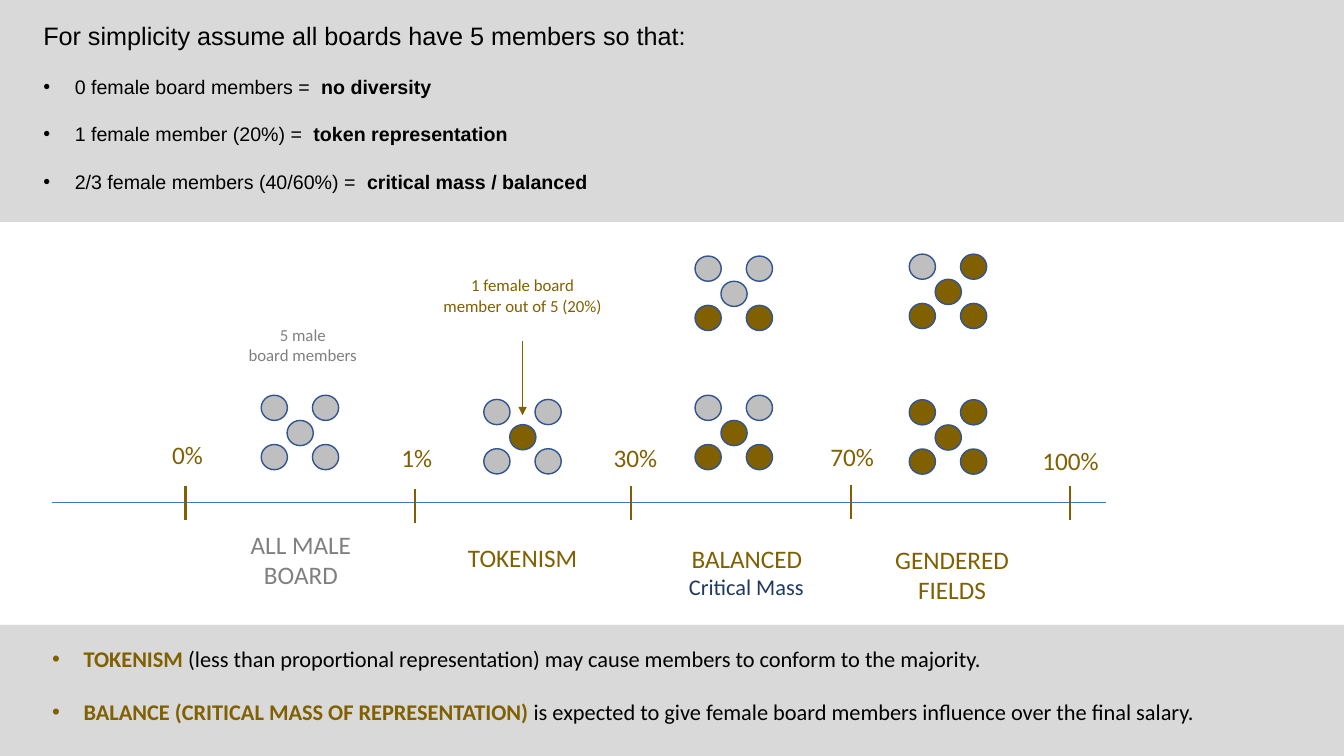
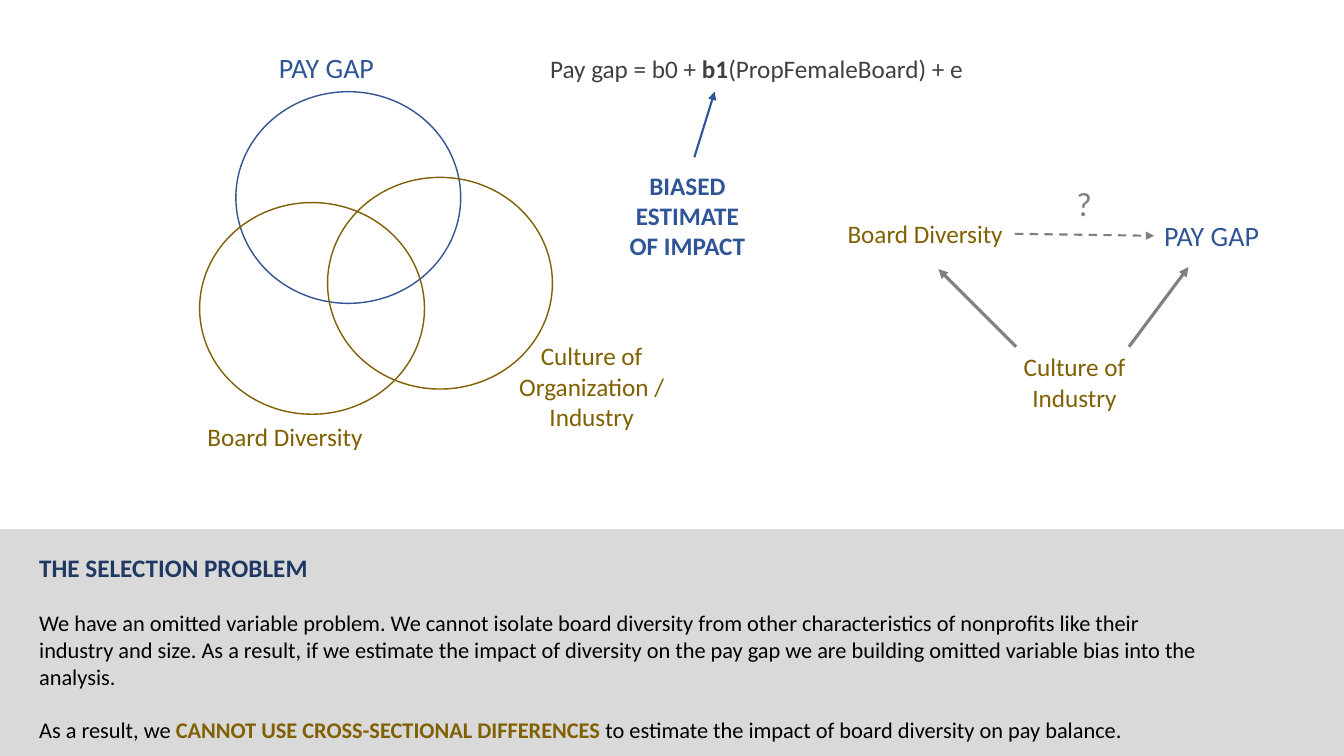
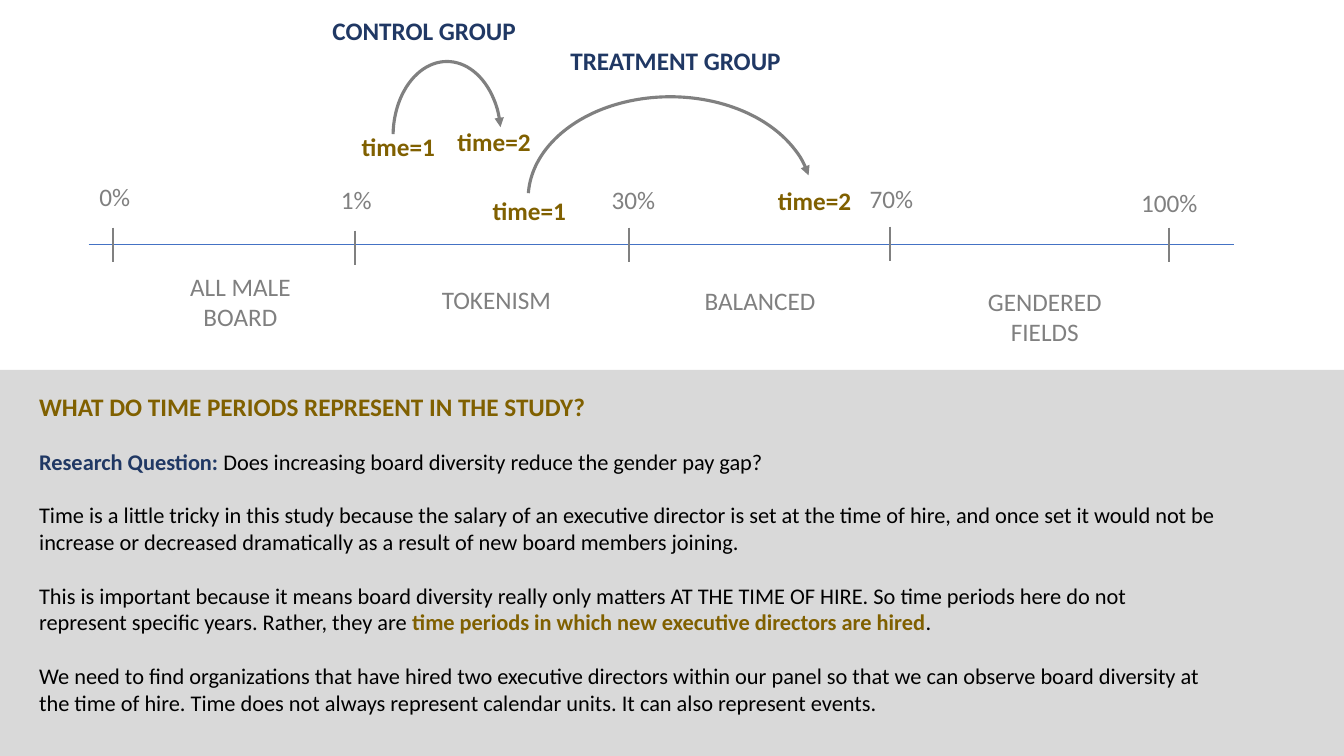
from dataclasses import dataclass

from pptx import Presentation
from pptx.dml.color import RGBColor
from pptx.enum import dml, shapes, text
from pptx.oxml import ns, xmlchemy
from pptx.util import Pt


@dataclass(frozen=True)
class Theme:
    band: str = "D9D9D9"
    black: str = "000000"
    gold: str = "806000"
    grey: str = "808080"
    silver: str = "BFBFBF"
    charcoal: str = "404040"
    navy: str = "203864"
    blue: str = "2F5597"
    outline: str = "325491"
    axis: str = "4472C4"
    sans: str = "Calibri"
    plain: str = "Arial"
    symbol: int = 24
    key: int = 20
    head: int = 18
    body: int = 16
    point: int = 14
    note: int = 12


T = Theme()
WIDTH, HEIGHT = 960, 540
PROSE_WIDTH = 856.8
INDENT = 22.5
BODY_GAP = 19
POINT_GAP = 17.3
LABEL_HEIGHT = 28.8
TICK_HEIGHT = 24.6
TICK_LABEL_WIDTH = 104.4
DOT_WIDTH, DOT_HEIGHT = 18.7, 18
DOT_PLACES = [(0, 0), (36.6, 0), (0, 35.2), (36.6, 35.2), (18.5, 18)]
CIRCLE_WIDTH, CIRCLE_HEIGHT = 160.6, 151.2
MARKS = [("0%", 12, 1.4, 36.7), ("1%", 9.8, 1.1, 36.7), ("30%", 12, 3.2, 34.8),
         ("70%", 12.7, 1, 34.5), ("100%", 12, 0, 32.4)]
ZONES = [("ALL MALE BOARD", 104.4, 15.4), ("TOKENISM", 104.4, 24.7),
         ("BALANCED", 134, 25.4), ("GENDERED FIELDS", 144.7, 26.2)]


@dataclass(frozen=True)
class Span:
    text: str
    ink: str = T.black
    bold: bool = False
    size: int = T.body
    font: str = T.sans


@dataclass(frozen=True)
class Line:
    spans: list
    bullet: bool = False


def points(values):
    return [Pt(value) for value in values]


def style(font, size, ink, bold=False, name=T.sans):
    font.name, font.size, font.bold = name, Pt(size), bold
    font.color.rgb = RGBColor.from_string(ink)


def stroke(outlined, ink, weight, arrow=False, dashed=False):
    outlined.line.color.rgb = RGBColor.from_string(ink)
    outlined.line.width = Pt(weight)
    if dashed:
        outlined.line.dash_style = dml.MSO_LINE.DASH
    if arrow:
        edge = outlined.element.spPr.find(ns.qn("a:ln"))
        edge.append(xmlchemy.OxmlElement("a:tailEnd"))
        edge[-1].set("type", "triangle")


def preset(slide, kind, box, fill=None):
    drawn = slide.shapes.add_shape(kind, *points(box))
    drawn.shadow.inherit = False
    if fill:
        drawn.fill.solid()
        drawn.fill.fore_color.rgb = RGBColor.from_string(fill)
    else:
        drawn.fill.background()
    return drawn


def band(slide, top, bottom):
    strip = preset(slide, shapes.MSO_SHAPE.RECTANGLE, (0, top, WIDTH, bottom - top), T.band)
    strip.line.fill.background()


def ellipse(slide, box, ink, fill=None):
    stroke(preset(slide, shapes.MSO_SHAPE.OVAL, box, fill), ink, 1)


def time_arc(slide, box):
    curve = preset(slide, shapes.MSO_SHAPE.ARC, box)
    curve.adjustments[0] = 109.3
    curve.adjustments[1] = 210.28
    stroke(curve, T.grey, 2.25, arrow=True)


def connect(slide, start, end, ink, weight, arrow=False, dashed=False):
    link = slide.shapes.add_connector(shapes.MSO_CONNECTOR.STRAIGHT, *points(start + end))
    stroke(link, ink, weight, arrow, dashed)
    link.element.spPr.append(xmlchemy.OxmlElement("a:effectLst"))
    return link


def label(slide, box, words, ink, size=T.head, bold=False, centred=True, wrap=True):
    holder = slide.shapes.add_textbox(*points(box))
    holder.text_frame.word_wrap = wrap
    holder.text_frame.text = words
    for paragraph in holder.text_frame.paragraphs:
        if centred:
            paragraph.alignment = text.PP_ALIGN.CENTER
        for run in paragraph.runs:
            style(run.font, size, ink, bold)
    return holder


def tag(slide, box, words, ink, size=T.head, bold=False):
    return label(slide, box, words, ink, size, bold, centred=False, wrap=False)


def add_bullet(paragraph):
    props = paragraph._p.get_or_add_pPr()
    props.set("marL", str(Pt(INDENT)))
    props.set("indent", str(-Pt(INDENT)))
    face = xmlchemy.OxmlElement("a:buFont")
    face.set("typeface", T.plain)
    mark = xmlchemy.OxmlElement("a:buChar")
    mark.set("char", "•")
    props.extend([face, mark])


def prose(slide, box, lines, gap=BODY_GAP, wrap=True):
    frame = slide.shapes.add_textbox(*points(box)).text_frame
    frame.word_wrap = wrap
    for index, line in enumerate(lines):
        paragraph = frame.add_paragraph() if index else frame.paragraphs[0]
        if line.bullet:
            add_bullet(paragraph)
        if index:
            paragraph.space_before = Pt(gap)
        for span in line.spans:
            run = paragraph.add_run()
            run.text = span.text
            style(run.font, span.size, span.ink, span.bold, span.font)


def scale(slide, left, right, level, ticks, centres, ink):
    connect(slide, (left, level), (right, level), T.axis, 0.5)
    for x, (name, rise, shift, lift) in zip(ticks, MARKS):
        top = level - rise
        connect(slide, (x, top), (x, top + TICK_HEIGHT), ink, 1.5)
        label(slide, (x + shift - TICK_LABEL_WIDTH / 2, top - lift,
                      TICK_LABEL_WIDTH, LABEL_HEIGHT), name, ink)
    for index, (centre, (name, width, drop)) in enumerate(zip(centres, ZONES)):
        label(slide, (centre - width / 2, level + drop, width, LABEL_HEIGHT),
              name, ink if index else T.grey)


def board(slide, left, top, members):
    for (dx, dy), member in zip(DOT_PLACES, members):
        ellipse(slide, (left + dx, top + dy, DOT_WIDTH, DOT_HEIGHT),
                T.outline, T.gold if member == "F" else T.silver)


def board_types(slide):
    band(slide, 0, 158.5)
    band(slide, 446.4, HEIGHT)

    def point(share, meaning):
        return Line([Span(share, size=T.point, font=T.plain),
                     Span(meaning, bold=True, size=T.point, font=T.plain)], bullet=True)

    prose(slide, (23.8, 10.8, 545.8, 147.6), [
        Line([Span("For simplicity assume all boards have 5 members so that:",
                   size=T.head, font=T.plain)]),
        point("0 female board members =  ", "no diversity"),
        point("1 female member (20%) =  ", "token representation"),
        point("2/3 female members (40/60%) =  ", "critical mass / balanced"),
    ], POINT_GAP)
    scale(slide, 37.4, 789.8, 358.9, [132.5, 296.6, 450.7, 607.7, 764.6],
          [214.9, 373.3, 533.5, 680], T.gold)
    for left, top, members in [
        (186.6, 282.3, "MMMMM"), (345.6, 285.3, "MMMMF"),
        (496.5, 182.9, "MMFFM"), (496.5, 282.3, "MMFFF"),
        (649.5, 181.5, "MFFFF"), (649.5, 285.5, "FFFFF"),
    ]:
        board(slide, left, top, members)
    label(slide, (152.6, 228.2, 127.4, 36), "5 male\nboard members", T.grey, T.note)
    token = label(slide, (309.6, 193, 127.4, 50.6),
                  "1 female board member out of 5 (20%)", T.gold, T.note)
    pointer = connect(slide, (373.3, 243.6), (373.3, 296.6), T.gold, 0.5, arrow=True)
    pointer.begin_connect(token, 2)
    label(slide, (458.6, 406, 149, 26.6), "Critical Mass", T.navy, T.body)
    prose(slide, (30.2, 457.2, PROSE_WIDTH, 75), [
        Line([Span("TOKENISM", T.gold, True),
              Span(" (less than proportional representation) may cause members"
                   " to conform to the majority.")], bullet=True),
        Line([Span("BALANCE (CRITICAL MASS OF REPRESENTATION)", T.gold, True),
              Span(" is expected to give female board members influence"
                   " over the final salary.")], bullet=True),
    ])


def selection_problem(slide):
    band(slide, 378, HEIGHT)
    prose(slide, (20.9, 391, PROSE_WIDTH, 145), [
        Line([Span("THE SELECTION PROBLEM", T.navy, True, T.head)]),
        Line([Span("We have an omitted variable problem. We cannot isolate board diversity "
                   "from other characteristics of nonprofits like their industry and size. "
                   "As a result, if we estimate the impact of diversity on the pay gap we are "
                   "building omitted variable bias into the analysis.")]),
        Line([Span("As a result, we "),
              Span("CANNOT USE CROSS-SECTIONAL DIFFERENCES ", T.gold, True),
              Span("to estimate the impact of board diversity on pay balance.")]),
    ])
    for left, top, ink in [(168.5, 65.5, T.outline), (142.6, 144.7, T.gold),
                           (234, 126.7, T.gold)]:
        ellipse(slide, (left, top, CIRCLE_WIDTH, CIRCLE_HEIGHT), ink)
    tag(slide, (192.2, 32.4, 82.8, 31.7), "PAY GAP", T.blue, T.key)
    tag(slide, (141.1, 297.4, 126.7, LABEL_HEIGHT), "Board Diversity", T.gold)
    label(slide, (359.3, 239.8, 126.7, 72.7), "Culture of Organization / Industry", T.gold)

    prose(slide, (385.9, 34.6, 312.5, LABEL_HEIGHT), [
        Line([Span("Pay gap = b0 + ", T.charcoal, size=T.head),
              Span("b1", T.charcoal, True, T.head),
              Span("(PropFemaleBoard) + e", T.charcoal, size=T.head)]),
    ], wrap=False)
    label(slide, (442, 118, 98, 72.7), "BIASED\nESTIMATE\nOF IMPACT", T.blue,
          bold=True, wrap=False)
    connect(slide, (496, 112.3), (510.5, 65.5), T.blue, 1.5, arrow=True)

    cause = tag(slide, (598.3, 152.6, 126.7, LABEL_HEIGHT), "Board Diversity", T.gold)
    effect = tag(slide, (824.4, 152.6, 82.8, 31.7), "PAY GAP", T.blue, T.key)
    label(slide, (704.2, 247.7, 126.7, 51), "Culture of Industry", T.gold)
    tag(slide, (761.8, 127.4, 26, 36), "?", T.grey, T.symbol)
    doubt = connect(slide, (725, 167), (824.4, 168.5), T.grey, 1.5, arrow=True, dashed=True)
    doubt.begin_connect(cause, 3)
    doubt.end_connect(effect, 1)
    for start, end in [((806.4, 247.7), (848.9, 190.8)), ((725.8, 247.7), (670.3, 192.2))]:
        connect(slide, start, end, T.grey, 2.25, arrow=True)


def time_periods(slide):
    band(slide, 264.3, HEIGHT)
    prose(slide, (20.9, 275.8, PROSE_WIDTH, 242.6), [
        Line([Span("WHAT DO TIME PERIODS REPRESENT IN THE STUDY?", T.gold, True, T.head)]),
        Line([Span("Research Question: ", T.navy, True),
              Span("Does increasing board diversity reduce the gender pay gap?")]),
        Line([Span("Time is a little tricky in this study because the salary of an executive "
                   "director is set at the time of hire, and once set it would not be increase "
                   "or decreased dramatically as a result of new board members joining.")]),
        Line([Span("This is important because it means board diversity really only matters "
                   "AT THE TIME OF HIRE. So time periods here do not represent specific years. "
                   "Rather, they are "),
              Span("time periods in which new executive directors are hired", T.gold, True),
              Span(".")]),
        Line([Span("We need to find organizations that have hired two executive directors "
                   "within our panel so that we can observe board diversity at the time of "
                   "hire. Time does not always represent calendar units. It can also "
                   "represent events.")]),
    ])
    scale(slide, 63.4, 881.3, 174.6, [80.6, 253.4, 449.3, 635.8, 835.2],
          [171.7, 354.6, 542.9, 746.3], T.grey)
    time_arc(slide, (280.8, 43.9, 77, 106.6))
    time_arc(slide, (377.3, 69.1, 203, 145.4))
    for left, top, width, words in [(230.4, 7.2, 146.9, "CONTROL GROUP"),
                                    (400.3, 28.8, 166.3, "TREATMENT GROUP")]:
        tag(slide, (left, top, width, LABEL_HEIGHT), words, T.navy, bold=True)
    for left, top, period in [(251.3, 90, 1), (319.7, 86.4, 2),
                              (344.9, 136, 1), (548.6, 128.9, 2)]:
        tag(slide, (left, top, 67.7, LABEL_HEIGHT), f"time={period}", T.gold, bold=True)


def main():
    deck = Presentation()
    deck.slide_width, deck.slide_height = Pt(WIDTH), Pt(HEIGHT)
    for build in (board_types, selection_problem, time_periods):
        build(deck.slides.add_slide(deck.slide_layouts[6]))
    deck.save("out.pptx")


if __name__ == "__main__":
    main()
